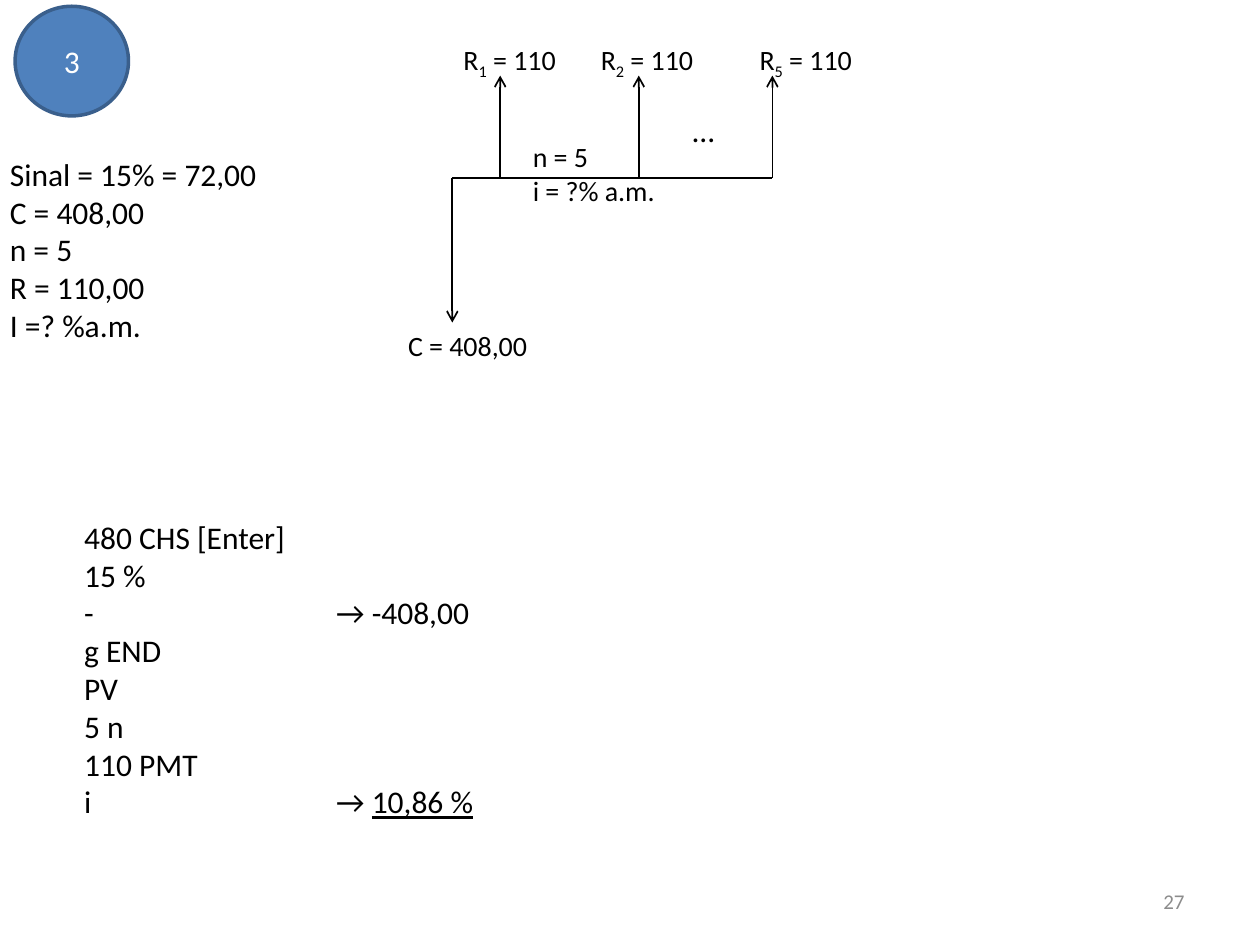
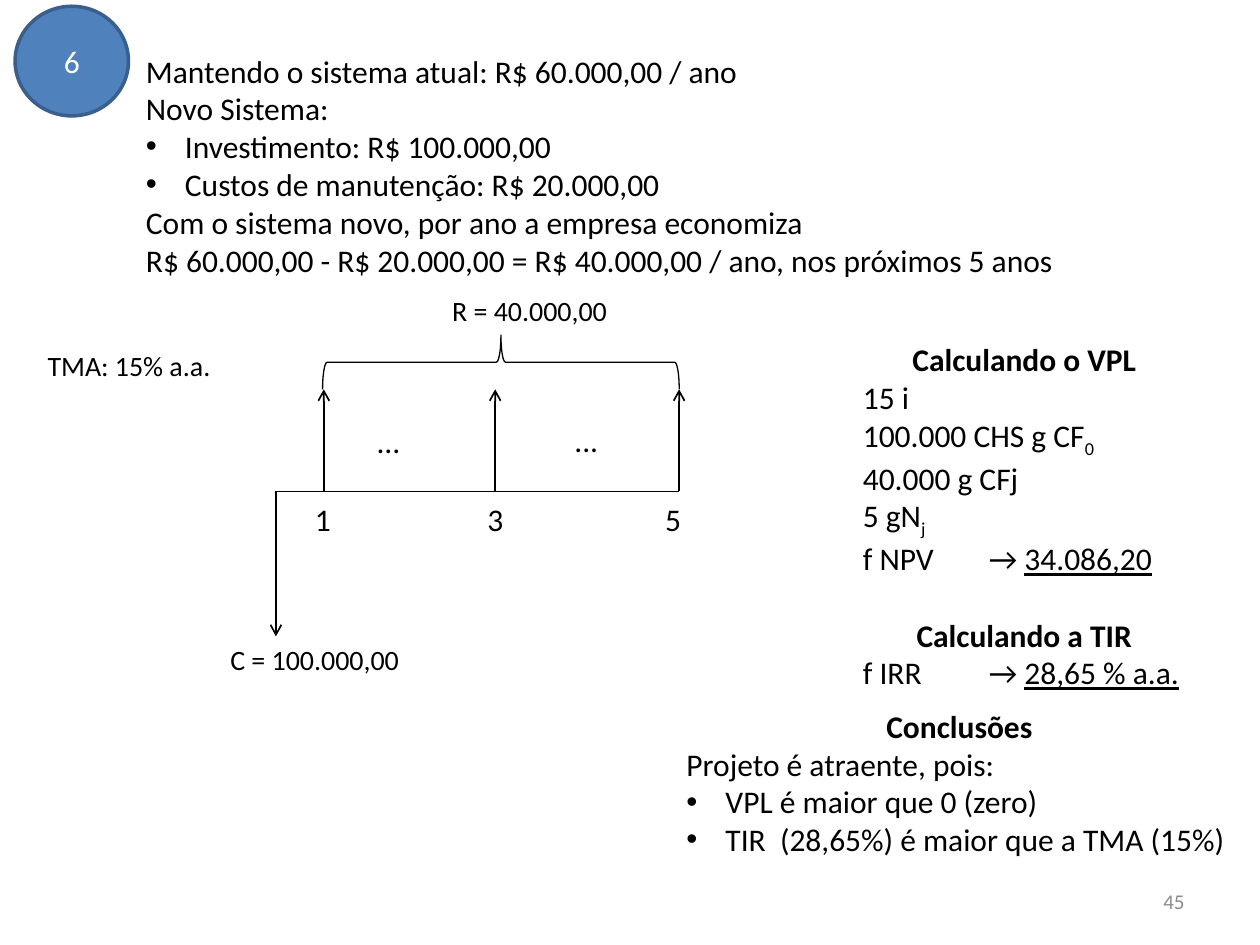
from dataclasses import dataclass, field

from lxml import etree
from pptx import Presentation
from pptx.dml.color import RGBColor
from pptx.enum.shapes import MSO_CONNECTOR, MSO_SHAPE
from pptx.enum.text import MSO_ANCHOR, MSO_AUTO_SIZE, PP_ALIGN
from pptx.oxml.ns import qn
from pptx.util import Inches, Pt

BLACK = RGBColor(0x00, 0x00, 0x00)
WHITE = RGBColor(0xFF, 0xFF, 0xFF)
BLUE = RGBColor(0x4F, 0x81, 0xBD)
DARK_BLUE = RGBColor(0x3A, 0x5F, 0x8C)
GRAY = RGBColor(0x8C, 0x8C, 0x8C)
FONT = "Calibri"
LEFT, CENTER, RIGHT = PP_ALIGN.LEFT, PP_ALIGN.CENTER, PP_ALIGN.RIGHT
JUSTIFY = PP_ALIGN.JUSTIFY
MIDDLE = MSO_ANCHOR.MIDDLE
FIT_SHAPE = MSO_AUTO_SIZE.SHAPE_TO_FIT_TEXT
STRAIGHT = MSO_CONNECTOR.STRAIGHT
OVAL, LEFT_BRACE = MSO_SHAPE.OVAL, MSO_SHAPE.LEFT_BRACE

BODY, LABEL = 18, 16  # text sizes in points
INDENT = 0.31
UP, DOWN = 0.81, 1.15  # arrow lengths in the cash flows


@dataclass
class Piece:
    text: str
    underline: bool = False
    subscript: bool = False


@dataclass
class Line:
    pieces: list[Piece]
    align: PP_ALIGN = LEFT
    bold: bool = False
    bullet: bool = False
    space_before: float = 0


@dataclass
class Note:
    left: float
    top: float
    width: float
    height: float
    lines: list[Line]
    size: int = BODY


@dataclass
class CashFlow:
    start: float
    axis: float
    receipts: list[float]


@dataclass
class Page:
    exercise: str
    number: str
    flow: CashFlow
    notes: list[Note] = field(default_factory=list)


def plain(*texts: str, align: PP_ALIGN = LEFT) -> list[Line]:
    return [Line([Piece(t)], align) for t in texts]


def bullets(*texts: str, align: PP_ALIGN = LEFT) -> list[Line]:
    return [Line([Piece(t)], align, bullet=True) for t in texts]


def heading(text: str, space_before: float = 0) -> Line:
    return Line([Piece(text)], CENTER, bold=True, space_before=space_before)


def result(key: str, answer: str, align: PP_ALIGN = LEFT) -> Line:
    return Line([Piece(f"{key}→ "), Piece(answer, underline=True)], align)


def indexed(base: str, index: str, rest: str = "", align: PP_ALIGN = LEFT) -> Line:
    pieces = [Piece(base), Piece(index, subscript=True)]
    return Line(pieces + ([Piece(rest)] if rest else []), align)


def dots(left: float, top: float) -> Note:
    return Note(left, top, 0.39, 0.4, plain("..."))


def write_line(p, line: Line, size: int, color: RGBColor) -> None:
    p.alignment = line.align
    if line.space_before:
        p.space_before = Pt(line.space_before)
    pPr = p._p.get_or_add_pPr()
    if line.bullet:
        pPr.set("marL", str(Inches(INDENT)))
        pPr.set("indent", str(-Inches(INDENT)))
        etree.SubElement(pPr, qn("a:buFont"), typeface="Arial")
        etree.SubElement(pPr, qn("a:buChar"), char="•")
    if any("\t" in piece.text for piece in line.pieces):
        tabs = etree.SubElement(pPr, qn("a:tabLst"))
        for stop in (1, 2):
            etree.SubElement(tabs, qn("a:tab"), pos=str(Inches(stop)), algn="l")
    for piece in line.pieces:
        r = p.add_run()
        r.text = piece.text
        style = {"name": FONT, "size": Pt(size), "bold": line.bold,
                 "underline": piece.underline}
        for name, value in style.items():
            setattr(r.font, name, value)
        r.font.color.rgb = color
        if piece.subscript:
            r._r.get_or_add_rPr().set("baseline", "-25000")


def write_lines(tf, lines: list[Line], size: int, color: RGBColor = BLACK) -> None:
    for i, line in enumerate(lines):
        p = tf.add_paragraph() if i else tf.paragraphs[0]
        write_line(p, line, size, color)


def add_note(s, note: Note) -> None:
    box = map(Inches, (note.left, note.top, note.width, note.height))
    tf = s.shapes.add_textbox(*box).text_frame
    tf.word_wrap = False
    tf.auto_size = FIT_SHAPE
    write_lines(tf, note.lines, note.size)


def add_line(s, x1: float, y1: float, x2: float, y2: float, arrow: bool = True) -> None:
    sp = s.shapes.add_connector(STRAIGHT, *map(Inches, (x1, y1, x2, y2)))
    sp.line.color.rgb = BLACK
    sp.line.width = Pt(1)
    if arrow:
        etree.SubElement(sp.line._get_or_add_ln(), qn("a:tailEnd"), type="arrow")
    etree.SubElement(sp._element.spPr, qn("a:effectLst"))


def add_cash_flow(s, flow: CashFlow) -> None:
    """Draw the time axis, the payment pointing down and the receipts up."""
    add_line(s, flow.start, flow.axis, flow.start, flow.axis + DOWN)
    add_line(s, flow.start, flow.axis, flow.receipts[-1], flow.axis, arrow=False)
    for x in flow.receipts:
        add_line(s, x, flow.axis, x, flow.axis - UP)


def add_brace(s) -> None:
    sp = s.shapes.add_shape(LEFT_BRACE, *map(Inches, (3.76, 1.46, 0.43, 2.83)))
    sp.rotation = 90
    sp.shadow.inherit = False
    sp.fill.background()
    sp.line.color.rgb = BLACK
    sp.line.width = Pt(0.75)


def add_badge(s, exercise: str) -> None:
    sp = s.shapes.add_shape(OVAL, *map(Inches, (0.12, 0.05, 0.9, 0.87)))
    sp.shadow.inherit = False
    sp.fill.solid()
    sp.fill.fore_color.rgb = BLUE
    sp.line.color.rgb = DARK_BLUE
    sp.line.width = Pt(2)
    sp.text_frame.vertical_anchor = MIDDLE
    write_lines(sp.text_frame, plain(exercise, align=CENTER), BODY, WHITE)


def add_page_number(s, number: str) -> None:
    tf = s.shapes.add_textbox(*map(Inches, (7.17, 6.95, 2.33, 0.4))).text_frame
    tf.word_wrap = True
    tf.vertical_anchor = MIDDLE
    write_lines(tf, plain(number, align=RIGHT), 12, GRAY)


def add_page(prs, page: Page):
    s = prs.slides.add_slide(prs.slide_layouts[6])
    add_badge(s, page.exercise)
    add_cash_flow(s, page.flow)
    for note in page.notes:
        add_note(s, note)
    add_page_number(s, page.number)
    return s


INSTALMENTS = Page("3", "27", CashFlow(3.59, 1.41, [3.97, 5.07, 6.13]), [
    *(Note(x, 0.29, 0.96, 0.37, [indexed("R", i, " = 110")], LABEL)
      for x, i in ((3.58, "1"), (4.67, "2"), (5.93, "5"))),
    Note(3.14, 2.56, 1.16, 0.37, plain("C = 408,00"), LABEL),
    Note(4.13, 1.06, 1.18, 0.64, plain("n = 5", "i = ?% a.m."), LABEL),
    dots(5.39, 0.83),
    Note(-0.02, 1.18, 2.18, 1.62, plain(
        "Sinal = 15% = 72,00", "C = 408,00", "n = 5", "R = 110,00", "I =? %a.m.")),
    Note(0.57, 4.06, 3.34, 2.52, [
        *plain("480 CHS [Enter]", "15 %", "-\t\t→ -408,00", "g END", "PV", "5 n",
               "110 PMT"),
        result("i\t\t", "10,86 %")]),
])

NEW_SYSTEM = Page("6", "45", CashFlow(2.19, 3.9, [2.57, 3.93, 5.39]), [
    Note(1.06, 0.36, 7.48, 1.92, [
        *plain("Mantendo o sistema atual: R$ 60.000,00 / ano", "Novo Sistema:"),
        *bullets("Investimento: R$ 100.000,00", "Custos de manutenção: R$ 20.000,00"),
        *plain("Com o sistema novo, por ano a empresa economiza",
               "R$ 60.000,00 - R$ 20.000,00 = R$ 40.000,00 / ano, nos próximos 5 anos")]),
    Note(1.73, 5.05, 1.56, 0.37, plain("C = 100.000,00"), LABEL),
    Note(3.49, 2.28, 1.45, 0.37, plain("R = 40.000,00"), LABEL),
    Note(0.28, 2.72, 1.56, 0.37, plain("TMA: 15% a.a."), LABEL),
    dots(2.89, 3.3),
    dots(4.46, 3.29),
    *(Note(x, 3.92, 0.33, 0.4, plain(year))
      for x, year in ((2.4, "1"), (3.77, "3"), (5.18, "5"))),
    Note(6.75, 2.65, 2.76, 2.73, [
        heading("Calculando o VPL"),
        *plain("15 i", align=JUSTIFY),
        indexed("100.000 CHS g CF", "0", align=JUSTIFY),
        *plain("40.000 g CFj", align=JUSTIFY),
        indexed("5 gN", "j", align=JUSTIFY),
        result("f NPV\t", "34.086,20", JUSTIFY),
        heading("Calculando a TIR", space_before=22),
        result("f IRR\t", "28,65 % a.a.")]),
    Note(5.35, 5.56, 4.53, 1.31, [
        heading("Conclusões"),
        *plain("Projeto é atraente, pois:", align=JUSTIFY),
        *bullets("VPL é maior que 0 (zero)", "TIR  (28,65%) é maior que a TMA (15%)",
                 align=JUSTIFY)]),
])


def main() -> None:
    prs = Presentation()
    prs.slide_width, prs.slide_height = Inches(10), Inches(7.5)
    add_page(prs, INSTALMENTS)
    add_brace(add_page(prs, NEW_SYSTEM))
    prs.save("out.pptx")


if __name__ == "__main__":
    main()
